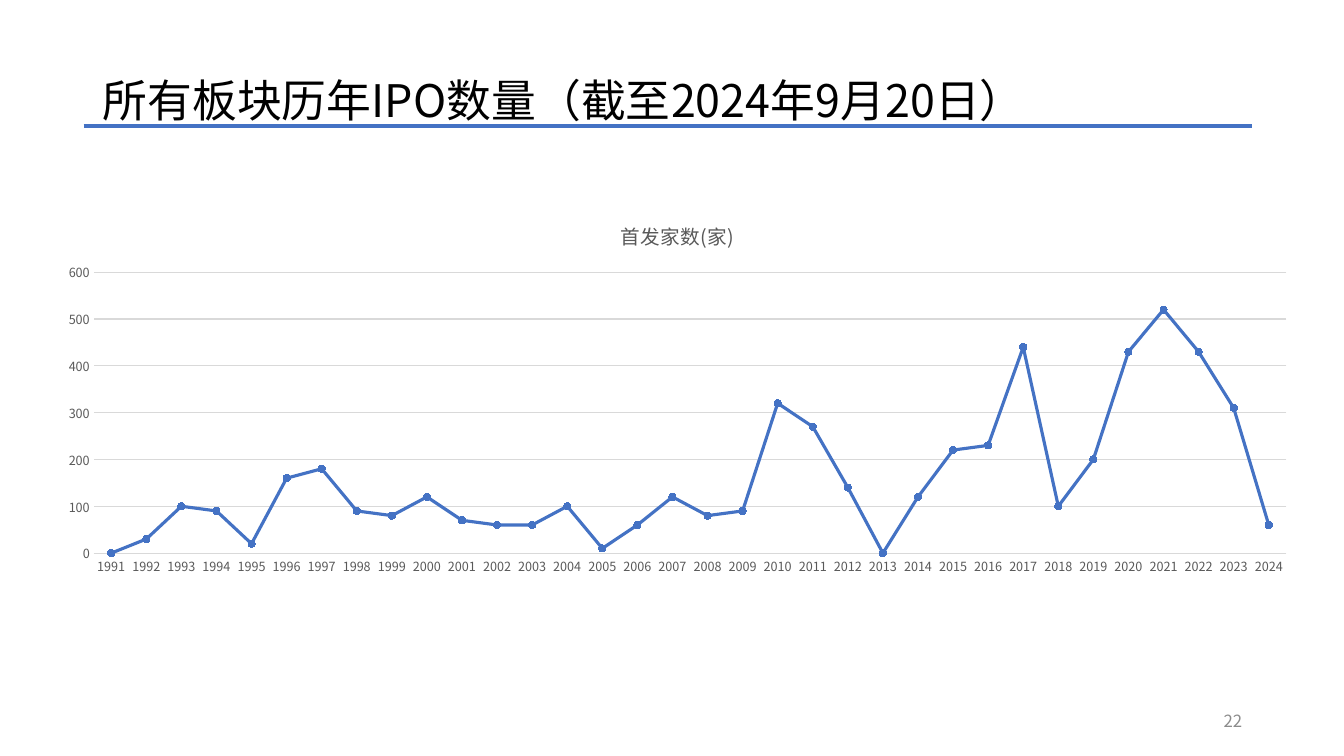
from dataclasses import dataclass

from pptx import Presentation, util as u
from pptx.chart.data import CategoryChartData
from pptx.dml.color import RGBColor
from pptx.enum import chart as ch, shapes, text
from pptx.oxml import ns
from lxml import etree

PX = 9144
FONT = "Noto Sans CJK SC"
HUES = {"ink": "000000", "blue": "4472C4", "gray": "595959",
        "grid": "D9D9D9", "page": "8C8C8C"}
NAME = "首发家数(家)"
FIRST = 1991
COUNTS = [0, 30, 100, 90, 20, 160, 180, 90, 80, 120, 70, 60,
          60, 100, 10, 60, 120, 80, 90, 320, 270, 140, 0, 120,
          220, 230, 440, 100, 200, 430, 520, 430, 310, 60]


@dataclass
class Label:
    words: str
    box: tuple[int, int, int, int]
    size: int
    hue: str
    align: text.PP_ALIGN
    gap: float = 1.0


LABELS = [
    Label("所有板块历年IPO数量（截至2024年9月20日）", (92, 40, 1150, 125),
          32, "ink", text.PP_ALIGN.LEFT, 0.9),
    Label("22", (942, 695, 300, 40), 12, "page", text.PP_ALIGN.RIGHT),
]


def px(*vals: int) -> list[u.Emu]:
    return [u.Emu(val * PX) for val in vals]


def color(hue: str) -> RGBColor:
    return RGBColor.from_string(HUES[hue])


def style(font, size: int, hue: str) -> None:
    font.size = u.Pt(size)
    font.name = FONT
    font.bold = False
    font.color.rgb = color(hue)


def stroke(line, hue: str, width: float) -> None:
    line.color.rgb = color(hue)
    line.width = u.Pt(width)


def set_asian(root) -> None:
    for latin in list(root.iter(ns.qn("a:latin"))):
        asian = etree.Element(ns.qn("a:ea"), typeface=FONT)
        latin.addnext(asian)


def add_label(slide, label: Label) -> None:
    frame = slide.shapes.add_textbox(*px(*label.box)).text_frame
    frame.word_wrap = True
    frame.vertical_anchor = text.MSO_ANCHOR.MIDDLE
    para = frame.paragraphs[0]
    para.text = label.words
    para.alignment = label.align
    para.line_spacing = label.gap
    style(para.font, label.size, label.hue)


def add_rule(slide) -> None:
    rule = slide.shapes.add_connector(
        shapes.MSO_CONNECTOR.STRAIGHT, *px(83, 125, 1242, 125))
    stroke(rule.line, "blue", 3)
    etree.SubElement(rule.element.spPr, ns.qn("a:effectLst"))


def add_plot(slide) -> None:
    data = CategoryChartData()
    data.categories = [str(FIRST + i) for i in range(len(COUNTS))]
    data.add_series(NAME, COUNTS)
    chart = slide.shapes.add_chart(
        ch.XL_CHART_TYPE.LINE_MARKERS, *px(43, 201, 1258, 377), data).chart
    style(chart.font, 10, "ink")
    chart.has_legend = False
    chart.has_title = True
    head = chart.chart_title
    head.include_in_layout = False
    para = head.text_frame.paragraphs[0]
    para.text = NAME
    style(para.font, 14, "gray")

    years, scale = chart.category_axis, chart.value_axis
    for axis in (years, scale):
        axis.major_tick_mark = axis.minor_tick_mark = ch.XL_TICK_MARK.NONE
        style(axis.tick_labels.font, 9, "gray")
    stroke(years.format.line, "grid", 0.75)
    scale.format.line.fill.background()
    stroke(scale.major_gridlines.format.line, "grid", 0.75)
    scale.minimum_scale, scale.maximum_scale = 0, 600
    scale.major_unit = 100
    scale.tick_labels.number_format = "#,##0"
    scale.tick_labels.number_format_is_linked = False

    plot = chart.plots[0]
    plot.vary_by_categories = False
    series = plot.series[0]
    series.smooth = False
    stroke(series.format.line, "blue", 2.25)
    mark = series.marker
    mark.style = ch.XL_MARKER_STYLE.CIRCLE
    mark.size = 5
    mark.format.fill.solid()
    mark.format.fill.fore_color.rgb = color("blue")
    stroke(mark.format.line, "blue", 0.75)
    set_asian(chart.element)


def main() -> None:
    deck = Presentation()
    deck.slide_width, deck.slide_height = px(1333, 750)
    slide = deck.slides.add_slide(deck.slide_layouts[6])
    for label in LABELS:
        add_label(slide, label)
    add_rule(slide)
    add_plot(slide)
    set_asian(slide.element)
    deck.save("out.pptx")


if __name__ == "__main__":
    main()
